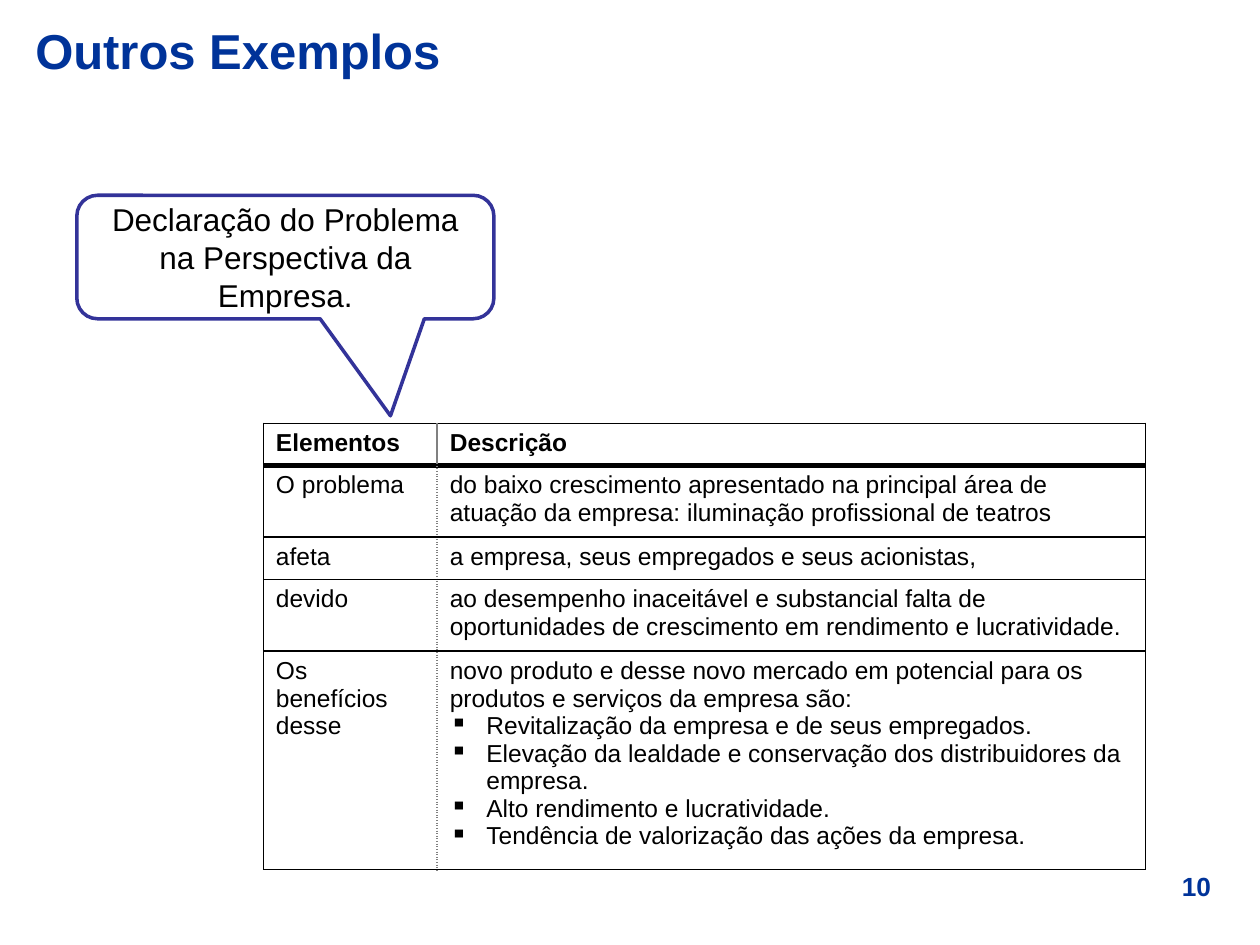
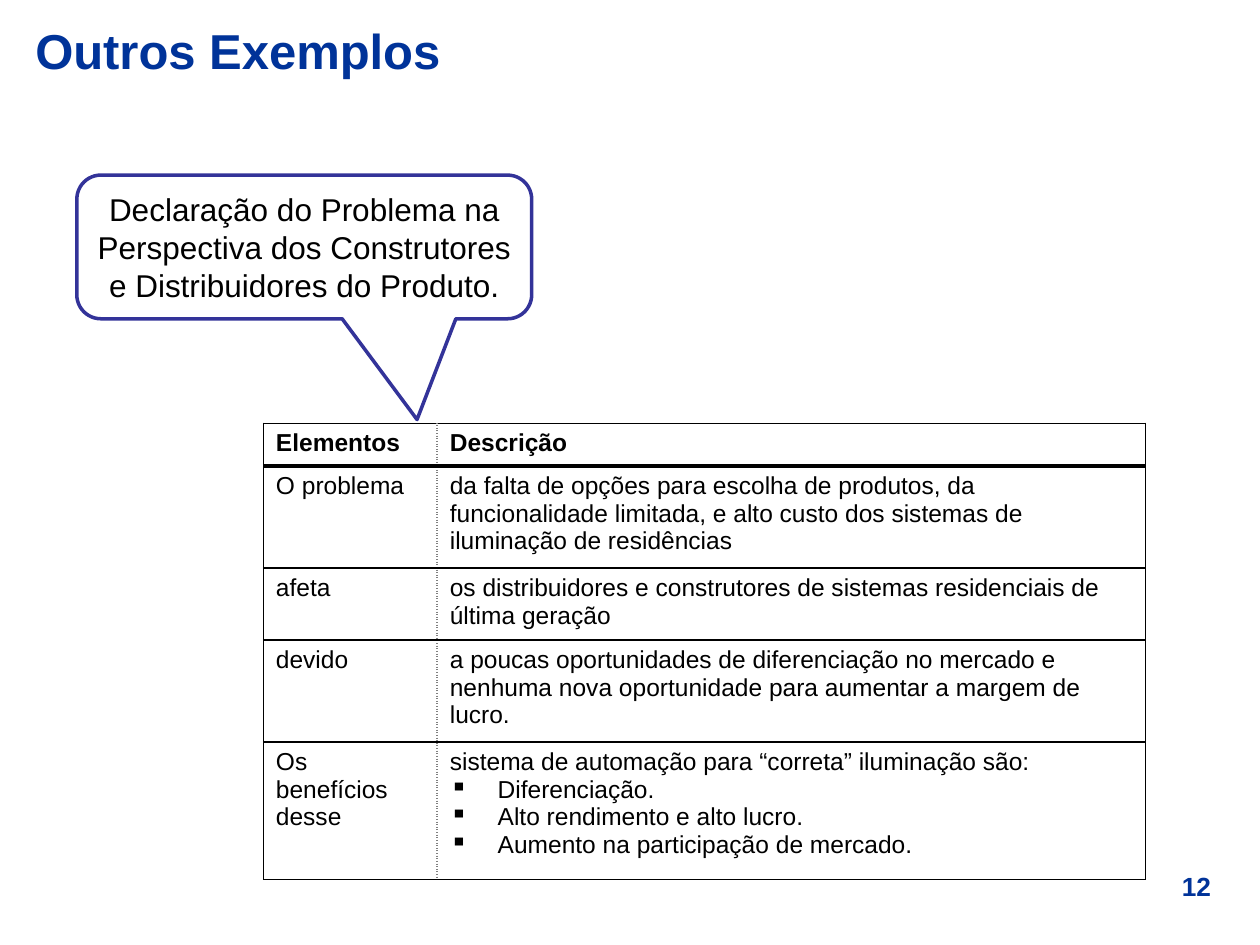
import pptx
import pptx.dml.color
import pptx.enum.dml
import pptx.enum.shapes
import pptx.enum.text
import pptx.oxml
import pptx.oxml.ns
import pptx.util

Inches = pptx.util.Inches
Pt = pptx.util.Pt
PP_ALIGN = pptx.enum.text.PP_ALIGN
MSO_ANCHOR = pptx.enum.text.MSO_ANCHOR

FONT = "Arial"
NAVY, INDIGO, BLACK, GRAY, WHITE = "003399", "333399", "000000", "808080", "FFFFFF"

TITLE_BOX = (0.18, 0.16, 9.62, 0.47)
NUMBER_BOX = (9.1, 6.86, 0.79, 0.35)
TABLE_LEFT, TABLE_TOP = 2.09, 3.36
COLUMN_WIDTHS = (1.38, 5.62)

TITLE_FONT = {"name": FONT, "size": Pt(28), "bold": True}
NUMBER_FONT = {"name": FONT, "size": Pt(15), "bold": True}
CALLOUT_FONT = {"name": FONT, "size": Pt(18), "bold": False}
HEADER_FONT = {"name": FONT, "size": Pt(14), "bold": True}
BODY_FONT = {"name": FONT, "size": Pt(14), "bold": False}
CELL_FORMAT = {
    "margin_left": Inches(0.1),
    "margin_right": Inches(0.1),
    "margin_top": Inches(0.05),
    "margin_bottom": Inches(0.05),
    "vertical_anchor": MSO_ANCHOR.TOP,
}
FRAME_FORMAT = {
    "word_wrap": True,
    "auto_size": pptx.enum.text.MSO_AUTO_SIZE.NONE,
    "vertical_anchor": MSO_ANCHOR.MIDDLE,
}

OUTER = (BLACK, 0.75, "solid")
RULE = (BLACK, 1, "solid")
HEAVY = (BLACK, 3, "solid")
DOTTED = (GRAY, 1, "sysDot")
SOLID_GRAY = (GRAY, 1, "solid")

ELEMENTS = ("O problema", "afeta", "devido", "Os benefícios desse")

SLIDES = [
    {
        "number": "10",
        "callout": {
            "text": "Declaração do Problema na Perspectiva da Empresa.",
            "box": (0.61, 1.55, 3.31, 0.98),
            "pointer": (0.252, 1.286, 0.167),
        },
        "table": {
            "row_heights": (0.33, 0.57, 0.33, 0.57, 1.73),
            "header_divider": SOLID_GRAY,
            "bullet_indent": 0.29,
            "descriptions": (
                "do baixo crescimento apresentado na principal área de atuação da empresa: "
                "iluminação profissional de teatros",
                "a empresa, seus empregados e seus acionistas,",
                "ao desempenho inaceitável e substancial falta de oportunidades de crescimento "
                "em rendimento e lucratividade.",
                "novo produto e desse novo mercado em potencial para os produtos e serviços "
                "da empresa são:",
            ),
            "benefits": (
                "Revitalização da empresa e de seus empregados.",
                "Elevação da lealdade e conservação dos distribuidores da empresa.",
                "Alto rendimento e lucratividade.",
                "Tendência de valorização das ações da empresa.",
            ),
        },
    },
    {
        "number": "12",
        "callout": {
            "text": "Declaração do Problema na Perspectiva dos Construtores e Distribuidores do Produto.",
            "box": (0.61, 1.39, 3.61, 1.14),
            "pointer": (0.248, 1.202, 0.167),
        },
        "table": {
            "row_heights": (0.34, 0.81, 0.57, 0.81, 1.09),
            "header_divider": DOTTED,
            "bullet_indent": 0.38,
            "descriptions": (
                "da falta de opções para escolha de produtos, da funcionalidade limitada, "
                "e alto custo dos sistemas de iluminação de residências",
                "os distribuidores e construtores de sistemas residenciais de última geração",
                "a poucas oportunidades de diferenciação no mercado e nenhuma nova oportunidade "
                "para aumentar a margem de lucro.",
                "sistema de automação para “correta” iluminação são:",
            ),
            "benefits": (
                "Diferenciação.",
                "Alto rendimento e alto lucro.",
                "Aumento na participação de mercado.",
            ),
        },
    },
]


def apply_format(target, values):
    for name, value in values.items():
        setattr(target, name, value)


def set_color(color_format, color):
    color_format.rgb = pptx.dml.color.RGBColor.from_string(color)


def set_fill(fill, color):
    fill.solid()
    set_color(fill.fore_color, color)


def lengths(box):
    return [Inches(value) for value in box]


def write_paragraph(paragraph, text, font_format, color, alignment=PP_ALIGN.LEFT):
    paragraph.alignment = alignment
    run = paragraph.add_run()
    run.text = text
    apply_format(run.font, font_format)
    set_color(run.font.color, color)


def add_bullet(paragraph, indent):
    properties = paragraph._p.get_or_add_pPr()
    properties.set("marL", str(Inches(indent)))
    properties.set("indent", str(-Inches(indent)))
    bullet = pptx.oxml.parse_xml(f'<a:buChar {pptx.oxml.ns.nsdecls("a")} char="▪"/>')
    properties.append(bullet)


def set_borders(cell, left, right, top, bottom):
    properties = cell._tc.get_or_add_tcPr()
    for index, (side, border) in enumerate(zip("LRTB", (left, right, top, bottom))):
        color, width, dash = border
        line = pptx.oxml.parse_xml(
            f'<a:ln{side} {pptx.oxml.ns.nsdecls("a")} w="{Pt(width)}">'
            f'<a:solidFill><a:srgbClr val="{color}"/></a:solidFill>'
            f'<a:prstDash val="{dash}"/></a:ln{side}>'
        )
        properties.insert(index, line)


def add_title(slide, text, box):
    title = slide.shapes.title
    title.left, title.top, title.width, title.height = lengths(box)
    apply_format(title.text_frame, FRAME_FORMAT)
    write_paragraph(title.text_frame.paragraphs[0], text, TITLE_FONT, NAVY)


def add_number(slide, number, box):
    frame = slide.shapes.add_textbox(*lengths(box)).text_frame
    frame.word_wrap = True
    write_paragraph(frame.paragraphs[0], number, NUMBER_FONT, NAVY, PP_ALIGN.CENTER)


def add_callout(slide, text, box, pointer):
    kind = pptx.enum.shapes.MSO_SHAPE.ROUNDED_RECTANGULAR_CALLOUT
    callout = slide.shapes.add_shape(kind, *lengths(box))
    callout.shadow.inherit = False
    for index, value in enumerate(pointer):
        callout.adjustments[index] = value
    set_fill(callout.fill, WHITE)
    set_color(callout.line.color, INDIGO)
    callout.line.width = Pt(2)
    apply_format(callout.text_frame, FRAME_FORMAT)
    write_paragraph(callout.text_frame.paragraphs[0], text, CALLOUT_FONT, BLACK, PP_ALIGN.CENTER)


def add_problem_table(slide, left, top, row_heights, header_divider, bullet_indent, descriptions, benefits):
    box = lengths((left, top, sum(COLUMN_WIDTHS), sum(row_heights)))
    table = slide.shapes.add_table(len(row_heights), len(COLUMN_WIDTHS), *box).table
    apply_format(table, {"first_row": False, "horz_banding": False})
    for column, width in zip(table.columns, COLUMN_WIDTHS):
        column.width = Inches(width)
    for row, height in zip(table.rows, row_heights):
        row.height = Inches(height)

    contents = [("Elementos", "Descrição"), *zip(ELEMENTS, descriptions)]
    for row_index, texts in enumerate(contents):
        is_header = row_index == 0
        divider = header_divider if is_header else DOTTED
        upper = HEAVY if row_index == 1 else RULE
        lower = HEAVY if is_header else RULE
        for column_index, text in enumerate(texts):
            cell = table.cell(row_index, column_index)
            apply_format(cell, CELL_FORMAT)
            if is_header:
                set_fill(cell.fill, WHITE)
            else:
                cell.fill.background()
            sides = (OUTER, divider) if column_index == 0 else (divider, OUTER)
            set_borders(cell, *sides, upper, lower)
            font_format = HEADER_FONT if is_header else BODY_FONT
            write_paragraph(cell.text_frame.paragraphs[0], text, font_format, BLACK)

    last_frame = table.cell(len(row_heights) - 1, 1).text_frame
    for benefit in benefits:
        paragraph = last_frame.add_paragraph()
        write_paragraph(paragraph, benefit, BODY_FONT, BLACK)
        add_bullet(paragraph, bullet_indent)


def add_example_slide(presentation, number, callout, table):
    slide = presentation.slides.add_slide(presentation.slide_layouts.get_by_name("Title Only"))
    add_number(slide, number, NUMBER_BOX)
    add_title(slide, "Outros Exemplos", TITLE_BOX)
    add_problem_table(slide, TABLE_LEFT, TABLE_TOP, **table)
    add_callout(slide, **callout)


def main():
    presentation = pptx.Presentation()
    presentation.slide_width = Inches(10)
    presentation.slide_height = Inches(7.5)
    for content in SLIDES:
        add_example_slide(presentation, **content)
    presentation.save("out.pptx")


if __name__ == "__main__":
    main()
